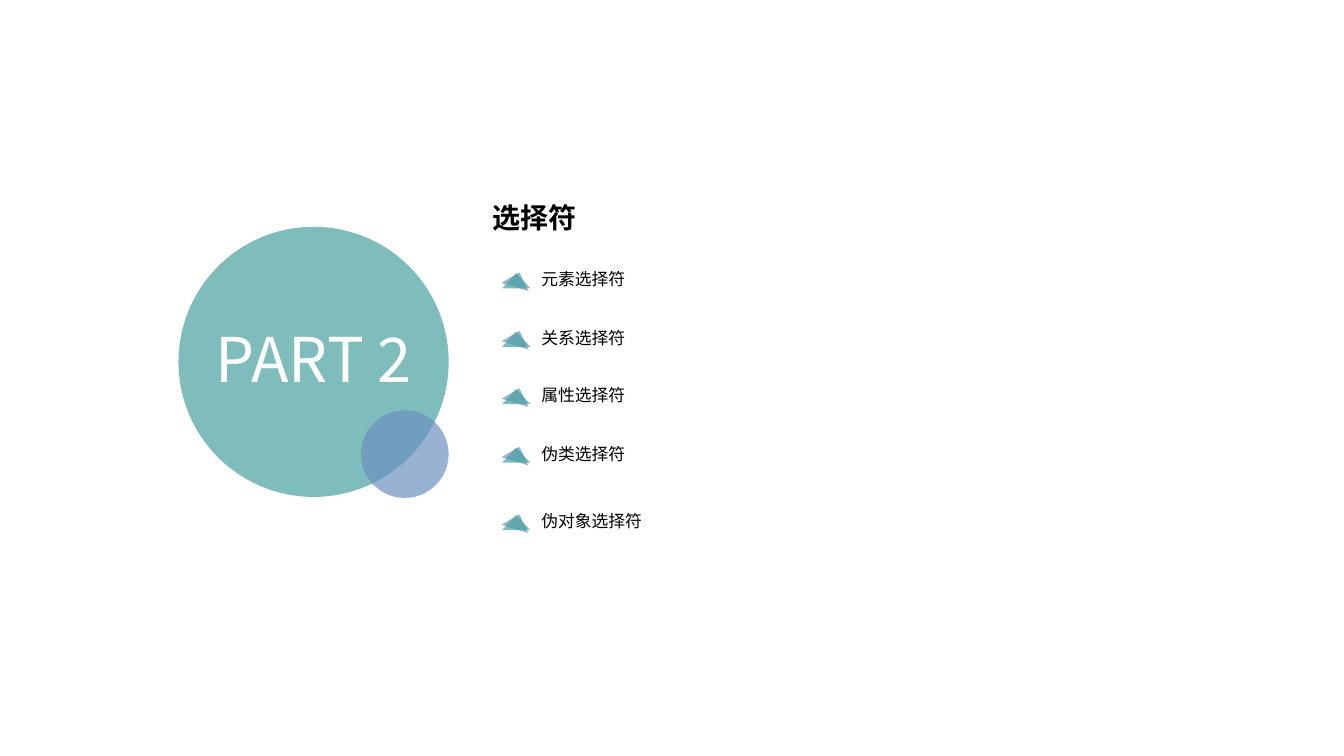
from dataclasses import dataclass

from lxml.etree import SubElement
from pptx import Presentation
from pptx.dml.color import RGBColor
from pptx.enum.shapes import MSO_SHAPE
from pptx.enum.text import MSO_AUTO_SIZE, PP_ALIGN
from pptx.oxml.ns import qn
from pptx.util import Inches, Pt


@dataclass(frozen=True)
class Theme:
    font: str = "Noto Sans CJK SC"
    teal: RGBColor = RGBColor(0x48, 0xA2, 0xA0)
    blue: RGBColor = RGBColor(0x6C, 0x92, 0xC0)
    white: RGBColor = RGBColor(0xFF, 0xFF, 0xFF)
    black: RGBColor = RGBColor(0, 0, 0)
    opacity: int = 70
    part_size: int = 44
    title_size: int = 20
    item_size: int = 12


THEME = Theme()

SELECTORS = [
    ("元素选择符", 2.62),
    ("关系选择符", 3.2),
    ("属性选择符", 3.77),
    ("伪类选择符", 4.35),
    ("伪对象选择符", 5.02),
]


def paint(shape, color):
    """Give the shape a translucent fill without line or shadow."""
    shape.shadow.inherit = False
    shape.line.fill.background()
    shape.fill.solid()
    shape.fill.fore_color.rgb = color
    color_element = shape.fill._xPr.find(qn("a:solidFill"))[0]
    SubElement(color_element, qn("a:alpha"), val=str(THEME.opacity * 1000))


def add_circle(shapes, left, top, diameter, color):
    circle = shapes.add_shape(MSO_SHAPE.OVAL, Inches(left), Inches(top),
                              Inches(diameter), Inches(diameter))
    paint(circle, color)


def add_text(shapes, text, box, size, color=THEME.black, bold=False,
             alignment=PP_ALIGN.LEFT, wrap=True, grow=True):
    text_box = shapes.add_textbox(*(Inches(length) for length in box))
    frame = text_box.text_frame
    frame.word_wrap = wrap
    frame.auto_size = MSO_AUTO_SIZE.SHAPE_TO_FIT_TEXT if grow else MSO_AUTO_SIZE.NONE
    paragraph = frame.paragraphs[0]
    paragraph.alignment = alignment
    run = paragraph.add_run()
    run.text = text
    run.font.size = Pt(size)
    run.font.bold = bold
    run.font.color.rgb = color
    run.font.name = THEME.font
    SubElement(run.font._element, qn("a:ea"), typeface=THEME.font)


def add_triangle(shapes, left, top, color, rotation=0):
    width, height = 0.28, 0.15
    builder = shapes.build_freeform(Inches(left + width / 2), Inches(top))
    builder.add_line_segments([
        (Inches(left + width), Inches(top + height)),
        (Inches(left), Inches(top + height)),
    ], close=True)
    triangle = builder.convert_to_shape()
    triangle.rotation = rotation
    paint(triangle, color)


def add_selector(slide, text, top):
    """Add one list entry: its label and a marker of two triangles."""
    group = slide.shapes.add_group_shape()
    add_text(group.shapes, text, (5.27, top, 2.42, 0.3), THEME.item_size)
    add_triangle(group.shapes, 4.99, top + 0.08, THEME.blue, rotation=17.1)
    add_triangle(group.shapes, 4.98, top + 0.09, THEME.teal)


def main():
    presentation = Presentation()
    presentation.slide_width = Inches(13.33)
    presentation.slide_height = Inches(7.5)
    slide = presentation.slides.add_slide(presentation.slide_layouts[6])

    add_circle(slide.shapes, 1.77, 2.25, 2.68, THEME.teal)
    add_circle(slide.shapes, 3.58, 4.07, 0.87, THEME.blue)
    add_text(slide.shapes, "PART 2", (0.95, 3.13, 4.33, 0.93), THEME.part_size,
             color=THEME.white, alignment=PP_ALIGN.CENTER, grow=False)
    add_text(slide.shapes, "选择符", (4.79, 1.94, 1.05, 0.44), THEME.title_size,
             bold=True, wrap=False)
    for text, top in SELECTORS:
        add_selector(slide, text, top)

    presentation.save("out.pptx")


if __name__ == "__main__":
    main()
